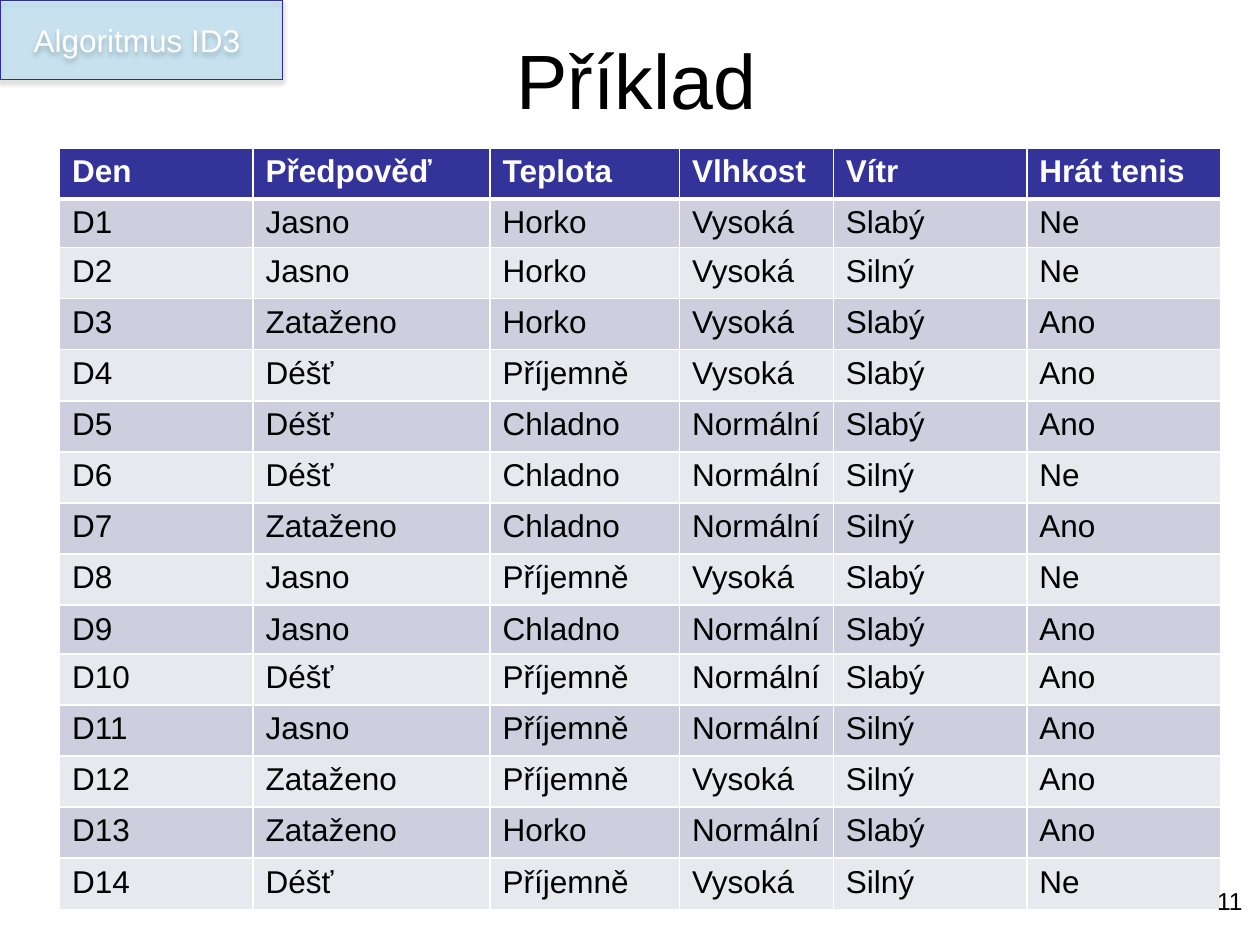
from lxml.etree import SubElement as Sub
from pptx import Presentation
from pptx.dml.color import RGBColor as RGB
from pptx.enum.shapes import MSO_SHAPE as Shape
from pptx.enum.text import MSO_ANCHOR as Anchor, PP_ALIGN as Align
from pptx.oxml.ns import qn
from pptx.util import Cm, Pt

FONT = "Arial"
COLORS = {
    "text": "000000",
    "white": "FFFFFF",
    "head": "333399",
    "odd": "CECEDE",
    "even": "E8E8EF",
    "tag": "66CCFF",
    "edge": "2F2F98",
}
HEADS = ["Den", "Předpověď", "Teplota", "Vlhkost", "Vítr", "Hrát tenis"]
DAYS = """Jasno Horko Vysoká Slabý Ne
Jasno Horko Vysoká Silný Ne
Zataženo Horko Vysoká Slabý Ano
Déšť Příjemně Vysoká Slabý Ano
Déšť Chladno Normální Slabý Ano
Déšť Chladno Normální Silný Ne
Zataženo Chladno Normální Silný Ano
Jasno Příjemně Vysoká Slabý Ne
Jasno Chladno Normální Slabý Ano
Déšť Příjemně Normální Slabý Ano
Jasno Příjemně Normální Silný Ano
Zataženo Příjemně Vysoká Silný Ano
Zataženo Horko Normální Slabý Ano
Déšť Příjemně Vysoká Silný Ne"""
WIDTHS = [3.9, 4.78, 3.82, 3.1, 3.9, 3.9]
ROW, LOW = 1.03, 0.98
LOW_ROWS = (1, 9)


def color(name):
    return RGB.from_string(COLORS[name])


def write(frame, text, size, tone="text", align=Align.LEFT, bold=False):
    par = frame.paragraphs[0]
    par.alignment = align
    run = par.add_run()
    run.text = text
    font = run.font
    font.name, font.size, font.bold = FONT, Pt(size), bold
    font.color.rgb = color(tone)


def add_rgb(parent, name, alpha=None):
    tint = Sub(parent, qn("a:srgbClr"), val=COLORS[name])
    if alpha is not None:
        Sub(tint, qn("a:alpha"), val=str(alpha * 1000))


def add_edge(cell, side, width):
    line = Sub(cell._tc.get_or_add_tcPr(), qn(f"a:ln{side}"), w=str(Pt(width)))
    add_rgb(Sub(line, qn("a:solidFill")), "white")


def add_title(slide, text):
    title = slide.shapes.title
    title.left, title.top = Cm(1.4), Cm(0)
    title.width, title.height = Cm(22.86), Cm(3.18)
    title.text_frame.vertical_anchor = Anchor.MIDDLE
    write(title.text_frame, text, 44, align=Align.CENTER)


def fill_cell(cell, text, row):
    head = row == 0
    # Thick white rule between the header and the body
    for side, width in (("L", 1), ("R", 1),
                        ("T", 3 if row == 1 else 1), ("B", 3 if head else 1)):
        add_edge(cell, side, width)
    cell.fill.solid()
    cell.fill.fore_color.rgb = color("head" if head else "odd" if row % 2 else "even")
    write(cell.text_frame, text, 18, "white" if head else "text", bold=head)


def add_days(slide):
    rows = [HEADS] + [[f"D{n}", *line.split()]
                      for n, line in enumerate(DAYS.splitlines(), 1)]
    highs = [LOW if n in LOW_ROWS else ROW for n in range(len(rows))]
    table = slide.shapes.add_table(
        len(rows), len(HEADS), Cm(1.2), Cm(2.98),
        Cm(sum(WIDTHS)), Cm(sum(highs))).table
    for col, width in zip(table.columns, WIDTHS):
        col.width = Cm(width)
    for n, (row, high) in enumerate(zip(rows, highs)):
        table.rows[n].height = Cm(high)
        for cell, text in zip(table.rows[n].cells, row):
            fill_cell(cell, text, n)


def add_tag(slide, text):
    tag = slide.shapes.add_shape(Shape.RECTANGLE, Cm(0), Cm(0), Cm(5.7), Cm(1.6))
    tag.fill.solid()
    tag.fill.fore_color.rgb = color("tag")
    tint = tag._element.spPr.find(qn("a:solidFill"))[0]
    Sub(tint, qn("a:alpha"), val="25000")
    tag.line.color.rgb = color("edge")
    tag.line.width = Pt(0.75)
    # Soft shadow straight below
    tag.shadow.inherit = False
    glow = Sub(tag._element.spPr.find(qn("a:effectLst")), qn("a:outerShdw"),
               blurRad=str(Pt(3.1)), dist=str(Pt(1.8)), dir="5400000",
               rotWithShape="0")
    add_rgb(glow, "text", 35)
    tag.text_frame.vertical_anchor = Anchor.MIDDLE
    write(tag.text_frame, text, 18, "white", Align.CENTER)


def add_number(slide, text):
    box = slide.shapes.add_textbox(Cm(19.38), Cm(17.73), Cm(5.92), Cm(1.32))
    box.text_frame.word_wrap = True
    write(box.text_frame, text, 14, align=Align.RIGHT)


def main():
    deck = Presentation()
    deck.slide_width, deck.slide_height = Cm(25.4), Cm(19.05)
    slide = deck.slides.add_slide(deck.slide_layouts[5])
    add_title(slide, "Příklad")
    add_days(slide)
    add_tag(slide, "Algoritmus ID3 ")
    add_number(slide, "11")
    deck.save("out.pptx")


if __name__ == "__main__":
    main()
